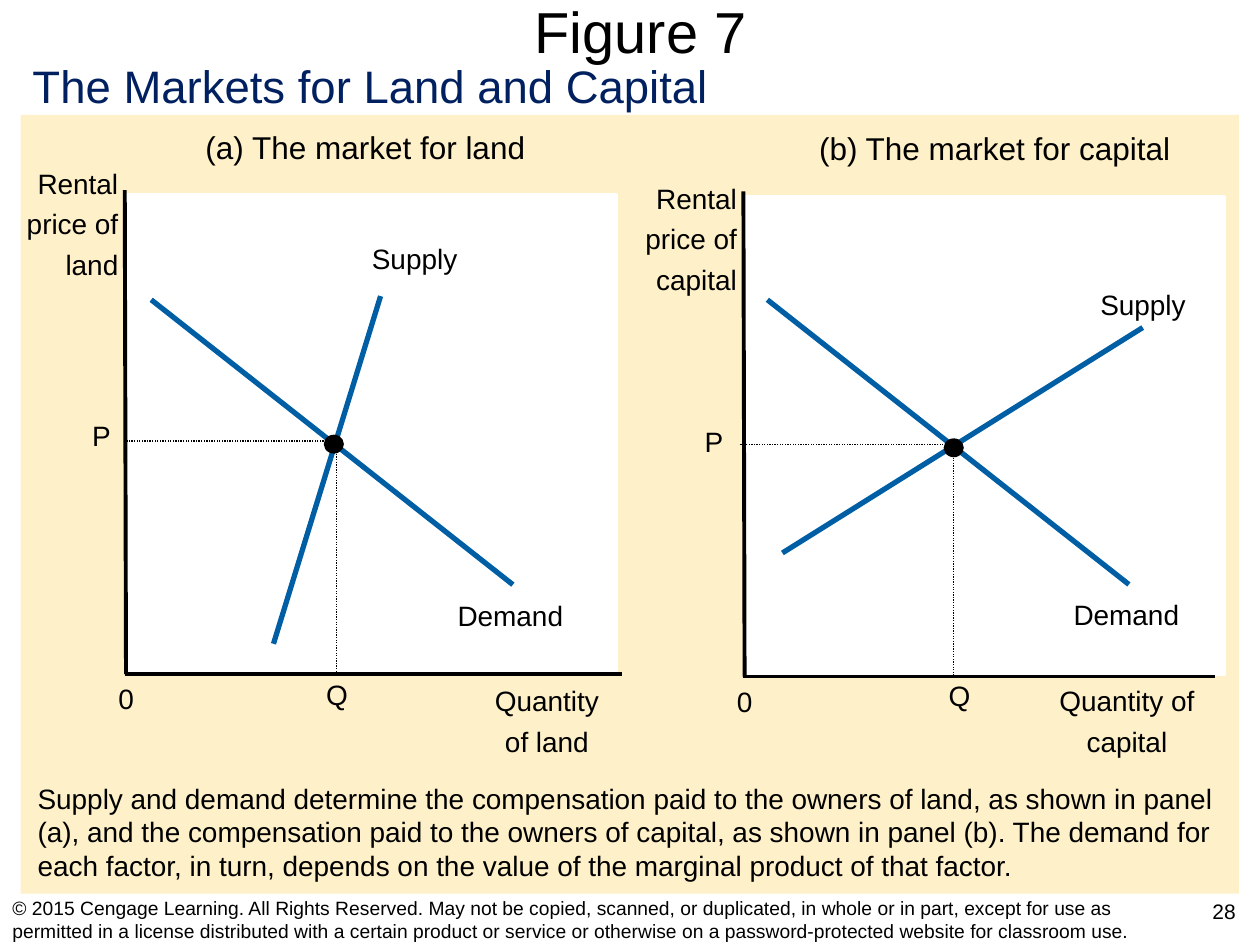
from pptx import Presentation
from pptx.dml.color import RGBColor
from pptx.enum.dml import MSO_LINE_DASH_STYLE as DASH
from pptx.enum.shapes import MSO_CONNECTOR, MSO_SHAPE as SHAPE
from pptx.enum.text import MSO_ANCHOR as ANCHOR, PP_ALIGN as ALIGN
from pptx.oxml.ns import qn
from pptx.util import Pt

COLORS = {"black": "000000", "white": "FFFFFF", "navy": "002060",
          "cream": "FEF0C8", "curve": "005EA4"}

# Panel lengths are measured from the top of the vertical axis
LAND = dict(
    title="(a) The market for land", title_box=(27, -39.2, 221, 28.8),
    plot=(1.4, 2.9, 279.4, 271.4), axis_width=284.4, axis_height=276.5,
    price=["Rental", "price of", "land"], price_top=-17.3,
    quantity=["Quantity", "of land"], quantity_box=(194.5, 278.6, 93.4, 49.7),
    supply=(85, 259.2, 146.2, 60.5), supply_label=(133.9, 25.9),
    demand=(15.1, 62.6, 221.8, 225.4), demand_label=(182.9, 229.7),
    dot=(119.5, 145.1), guide=(121, 143.3), guide_left=-0.7,
    p_label=(-25.9, 126.7), q_label=(108, 275))
CAPITAL = dict(
    title="(b) The market for capital", title_box=(15.8, -39.2, 255.6, 28.8),
    plot=(1.4, 2.9, 273.6, 272.9), axis_width=269.3, axis_height=277.2,
    price=["Rental", "price of", "capital"], price_top=-9.4,
    quantity=["Quantity of", "capital"],
    quantity_box=(163.5, 277.9, 111.4, 49.7),
    supply=(22.3, 206.6, 228.2, 77.8), supply_label=(196.6, 51.1),
    demand=(13.7, 61.9, 220.3, 224.6), demand_label=(181.4, 228.6),
    dot=(120.2, 146.5), guide=(120.2, 144.7), guide_left=-2.2,
    p_label=(-29.5, 129.6), q_label=(110.2, 275))


def color(name):
    return RGBColor.from_string(COLORS[name])


def add_text(page, box, lines, size=16, fill="black", align=ALIGN.CENTER,
             wrap=False, anchor=ANCHOR.TOP, inset=True):
    frame = page.shapes.add_textbox(*map(Pt, box)).text_frame
    frame.word_wrap = wrap
    frame.vertical_anchor = anchor
    if not inset:
        frame.margin_left = frame.margin_right = 0
        frame.margin_top = frame.margin_bottom = 0
    for index, line in enumerate(lines):
        para = frame.add_paragraph() if index else frame.paragraphs[0]
        para.text = line
        para.alignment = align
        if index:
            para.space_before = Pt(4)
        para.font.name = "Arial"
        para.font.size = Pt(size)
        para.font.color.rgb = color(fill)


def add_shape(page, kind, box, fill, outline=0):
    shape = page.shapes.add_shape(kind, *map(Pt, box))
    shape.shadow.inherit = False
    shape.fill.solid()
    shape.fill.fore_color.rgb = color(fill)
    if outline:
        shape.line.color.rgb = color(fill)
        shape.line.width = Pt(outline)
    else:
        shape.line.fill.background()


def add_line(page, ends, fill, width, dash=None):
    line = page.shapes.add_connector(MSO_CONNECTOR.STRAIGHT, *map(Pt, ends))
    line.line.color.rgb = color(fill)
    line.line.width = Pt(width)
    if dash:
        line.line.dash_style = dash
    properties = line._element.spPr
    properties.append(properties.makeelement(qn("a:effectLst"), {}))


def add_market(page, left, top, market):
    """One supply and demand panel, with its axis starting at left, top."""
    def place(box):
        return (left + box[0], top + box[1], *box[2:])

    def line(x1, y1, x2, y2, fill="black", width=2.25, dash=None):
        add_line(page, (left + x1, top + y1, left + x2, top + y2),
                 fill, width, dash)

    def label(corner, width, text):
        add_text(page, place((*corner, width, 26.6)), [text])

    bottom = market["axis_height"]

    # Plot area, axes and titles
    add_shape(page, SHAPE.RECTANGLE, place(market["plot"]), "white", 2)
    line(0, 0, 0.7, bottom)
    line(0, bottom, market["axis_width"], bottom)
    add_text(page, place(market["title_box"]), [market["title"]], 18, wrap=True)
    add_text(page, place((-82.8, market["price_top"], 86.2, 72.7)),
             market["price"], align=ALIGN.RIGHT)
    add_text(page, place(market["quantity_box"]), market["quantity"])
    label((-10.8, bottom + 1), 23, "0")

    # Curves
    line(*market["supply"], "curve", 3)
    label(market["supply_label"], 63.4, "Supply")
    line(*market["demand"], "curve", 3)
    label(market["demand_label"], 74.9, "Demand")

    # Equilibrium with its guides
    x, y = market["guide"]
    line(x, y, x, bottom - 1, width=0.75, dash=DASH.ROUND_DOT)
    line(x, y, market["guide_left"], y, width=0.75, dash=DASH.ROUND_DOT)
    label(market["q_label"], 26.6, "Q")
    label(market["p_label"], 25.2, "P")
    x, y = market["dot"]
    add_shape(page, SHAPE.OVAL, place((x - 5.75, y - 5.4, 11.5, 10.8)), "black")


def add_heading(page):
    add_text(page, (25.2, 0, 681.8, 35.3), ["Figure 7"], 33, wrap=True,
             anchor=ANCHOR.MIDDLE, inset=False)
    add_text(page, (11.5, 29.5, 401, 38.9), ["The Markets for Land and Capital"],
             26, "navy", ALIGN.LEFT)


def add_footer(page):
    add_text(page, (0, 511.2, 678.2, 28.8), [
        "© 2015 Cengage Learning. All Rights Reserved. May not be copied, "
        "scanned, or duplicated, in whole or in part, except for use as "
        "permitted in a license distributed with a certain product or service "
        "or otherwise on a password-protected website for classroom use."],
        11, align=ALIGN.LEFT, wrap=True, anchor=ANCHOR.MIDDLE)
    add_text(page, (679, 509.8, 41, 29.5), ["28"], 12, wrap=True)


def main():
    deck = Presentation()
    deck.slide_width, deck.slide_height = Pt(720), Pt(540)
    page = deck.slides.add_slide(deck.slide_layouts[6])

    add_shape(page, SHAPE.RECTANGLE, (11.8, 65.7, 696.2, 445), "cream")
    add_heading(page)
    add_market(page, 71.3, 108.7, LAND)
    add_market(page, 424.8, 109.4, CAPITAL)
    # Explanation
    add_text(page, (14.4, 442.8, 691.9, 64.8), [
        "Supply and demand determine the compensation paid to the owners of "
        "land, as shown in panel (a), and the compensation paid to the owners "
        "of capital, as shown in panel (b). The demand for each factor, in "
        "turn, depends on the value of the marginal product of that factor."],
        align=ALIGN.LEFT, wrap=True)
    add_footer(page)
    deck.save("out.pptx")


if __name__ == "__main__":
    main()
